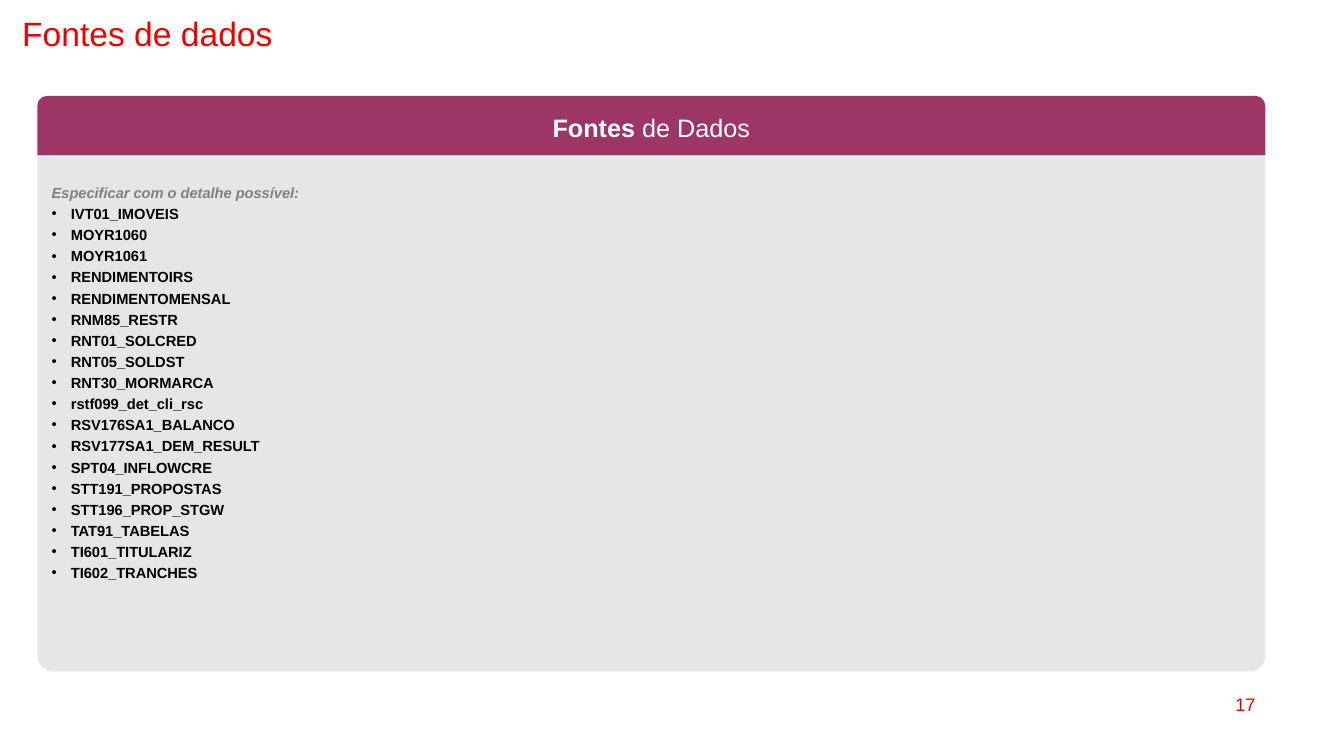
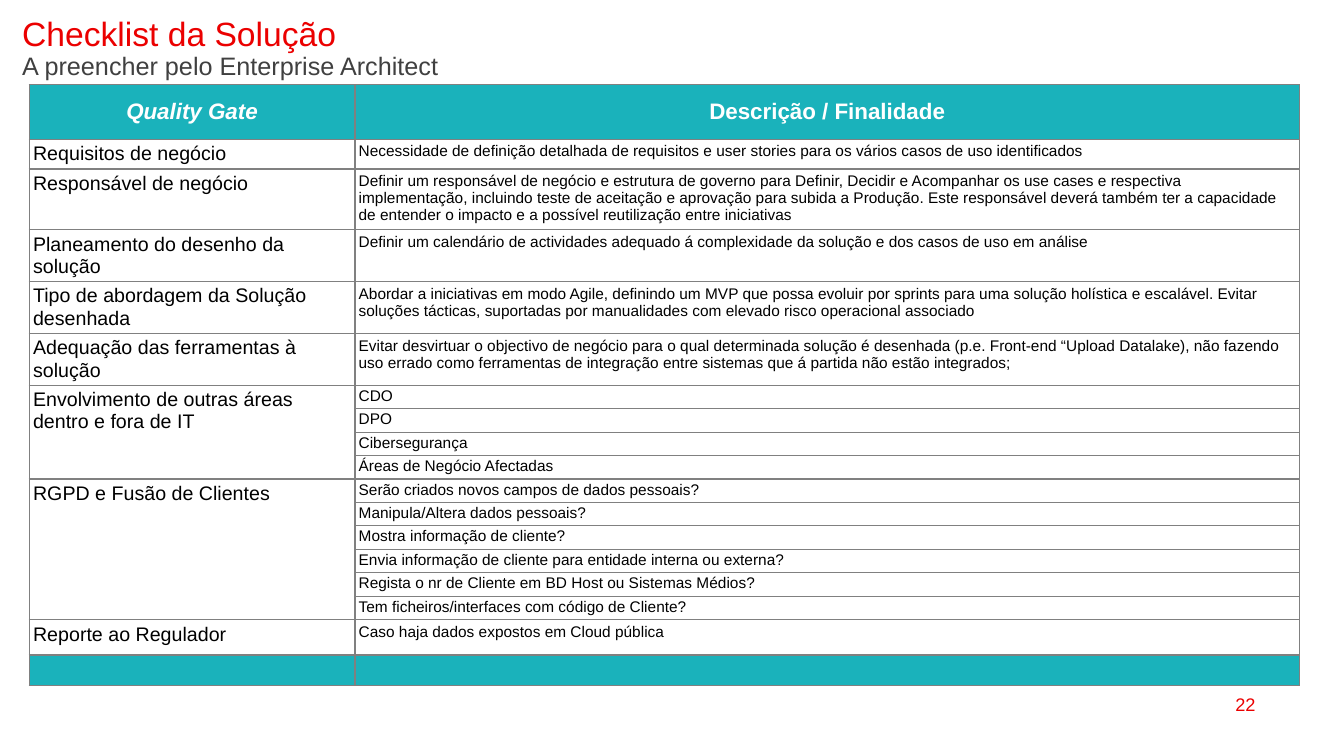
from pptx import Presentation
from pptx.dml.color import RGBColor as RGB
from pptx.enum.shapes import MSO_SHAPE as Shape
from pptx.enum.text import MSO_ANCHOR as Anchor, MSO_AUTO_SIZE as Fit, PP_ALIGN as Align
from pptx.oxml import parse_xml
from pptx.oxml.ns import nsdecls
from pptx.util import Inches, Pt

RED = RGB(0xEB, 0x00, 0x00)
PLUM = RGB(0x9D, 0x35, 0x66)
TEAL = RGB(0x1A, 0xB2, 0xBB)
PALE = RGB(0xE7, 0xE6, 0xE6)
GREY = RGB(0x80, 0x80, 0x80)
DARK = RGB(0x40, 0x40, 0x40)
WHITE = RGB(0xFF, 0xFF, 0xFF)
BLACK = RGB(0x00, 0x00, 0x00)


class Deck:
    """Style and current slide; lengths are percent of the slide's size."""

    face = "Arial"
    pad = Pt(2.7)

    def __init__(self):
        self.prs = Presentation()
        self.prs.slide_width = Inches(13.33)
        self.prs.slide_height = Inches(7.5)
        self.slide = None

    def col(self, share):
        return round(self.prs.slide_width * share / 100)

    def row(self, share):
        return round(self.prs.slide_height * share / 100)

    def box(self, x, y, w, h):
        return self.col(x), self.row(y), self.col(w), self.row(h)

    def style(self, para, size, color, bold=False, italic=False,
              align=Align.LEFT, lead=None):
        para.alignment = align
        if lead:
            para.line_spacing = lead
        font = para.font
        font.name, font.size, font.bold, font.italic = self.face, Pt(size), bold, italic
        font.color.rgb = color

    # Title, optional subtitle and page number
    def page(self, title, number, sub=None):
        self.slide = self.prs.slides.add_slide(self.prs.slide_layouts[5])
        head = self.slide.shapes.title
        head.left, head.top, head.width, head.height = self.box(0.9, 1.6, 50.71, 7.87)
        frame = head.text_frame
        frame.auto_size, frame.vertical_anchor = Fit.NONE, Anchor.TOP
        frame.text = title
        self.style(frame.paragraphs[0], 24, RED, lead=0.9)
        if sub:
            para = frame.add_paragraph()
            para.text = sub
            para.space_before = Pt(0)
            self.style(para, 18, DARK, lead=0.9)
        foot = self.slide.shapes.add_textbox(*self.box(71.64, 90.53, 22.51, 5.33))
        frame = foot.text_frame
        frame.word_wrap, frame.vertical_anchor = True, Anchor.MIDDLE
        frame.text = str(number)
        self.style(frame.paragraphs[0], 13, RED, align=Align.RIGHT)

    # Panel with two rounded corners
    def panel(self, area, fill, anchor):
        shape = self.slide.shapes.add_shape(Shape.ROUND_2_SAME_RECTANGLE, *self.box(*area))
        shape.shadow.inherit = False
        shape.fill.solid()
        shape.fill.fore_color.rgb = fill
        shape.line.fill.background()
        shape.text_frame.word_wrap = True
        shape.text_frame.vertical_anchor = anchor
        return shape

    def band(self, area, strong, rest):
        para = self.panel(area, PLUM, Anchor.MIDDLE).text_frame.paragraphs[0]
        self.style(para, 18, WHITE, align=Align.CENTER)
        for text, bold in ((strong, True), (rest, False)):
            run = para.add_run()
            run.text, run.font.bold = text, bold

    def card(self, area, lead, items):
        shape = self.panel(area, PALE, Anchor.TOP)
        shape.adjustments[0], shape.adjustments[1] = 0, 0.03
        frame = shape.text_frame
        frame.margin_top = Inches(0.23)
        frame.text = lead
        self.style(frame.paragraphs[0], 10.5, GREY, True, True, lead=1.2)
        for item in items:
            para = frame.add_paragraph()
            para.text = item
            self.bullet(para)
            self.style(para, 10.5, BLACK, True, lead=1.2)

    def bullet(self, para):
        props = para._p.get_or_add_pPr()
        props.set("marL", str(Inches(0.19)))
        props.set("indent", str(-Inches(0.19)))
        props.append(parse_xml(f'<a:buFont {nsdecls("a")} typeface="Arial"/>'))
        props.append(parse_xml(f'<a:buChar {nsdecls("a")} char="•"/>'))

    # Bordered table cell; body text has no bottom inset, so rows keep their height
    def cell(self, cell, text, size, color=BLACK, fill=None, lead=None, **kind):
        props = cell._tc.get_or_add_tcPr()
        for side in "LRTB":
            props.append(parse_xml(
                f'<a:ln{side} {nsdecls("a")} w="{Pt(1)}"><a:solidFill>'
                f'<a:srgbClr val="{GREY}"/></a:solidFill></a:ln{side}>'))
        if fill:
            cell.fill.solid()
            cell.fill.fore_color.rgb = fill
        else:
            cell.fill.background()
        pad = self.pad if text else 0
        cell.margin_left = cell.margin_right = cell.margin_top = pad
        cell.margin_bottom = pad if fill else 0
        cell.vertical_anchor = Anchor.MIDDLE if fill else Anchor.TOP
        cell.text = text
        self.style(cell.text_frame.paragraphs[0], size, color, lead=lead, **kind)

    # Checklist: each gate spans the rows of its notes
    def grid(self, x, y, cols, heads, gates):
        tall = [7.2] + [h for _, h, notes in gates for _ in notes] + [4]
        table = self.slide.shapes.add_table(
            len(tall), len(cols), *self.box(x, y, sum(cols), sum(tall))).table
        table.first_row = table.horz_banding = False
        for line, share in zip(table.columns, cols):
            line.width = self.col(share)
        for line, share in zip(table.rows, tall):
            line.height = self.row(share)
        for i, head in enumerate(heads):
            self.cell(table.cell(0, i), head, 16, WHITE, TEAL,
                      bold=True, italic=i == 0, align=Align.CENTER)
            self.cell(table.cell(len(tall) - 1, i), "", 11, WHITE, TEAL)
        top = 1
        for gate, _, notes in gates:
            many = len(notes) > 1
            for i, note in enumerate(notes):
                self.cell(table.cell(top + i, 0), "" if i else gate, 14)
                self.cell(table.cell(top + i, 1), note, 11, lead=0.9 if many else None)
            if many:
                table.cell(top, 0).merge(table.cell(top + len(notes) - 1, 0))
            top += len(notes)


SOURCES = [
    "IVT01_IMOVEIS", "MOYR1060", "MOYR1061", "RENDIMENTOIRS", "RENDIMENTOMENSAL",
    "RNM85_RESTR", "RNT01_SOLCRED", "RNT05_SOLDST", "RNT30_MORMARCA",
    "rstf099_det_cli_rsc", "RSV176SA1_BALANCO", "RSV177SA1_DEM_RESULT",
    "SPT04_INFLOWCRE", "STT191_PROPOSTAS", "STT196_PROP_STGW", "TAT91_TABELAS",
    "TI601_TITULARIZ", "TI602_TRANCHES",
]

# Gate, height of each row, notes
GATES = [
    ("Requisitos de negócio", 3.95, [
        "Necessidade de definição detalhada de requisitos e user stories para os "
        "vários casos de uso identificados"]),
    ("Responsável de negócio", 8, [
        "Definir um responsável de negócio e estrutura de governo para Definir, "
        "Decidir e Acompanhar os use cases e respectiva implementação, incluindo "
        "teste de aceitação e aprovação para subida a Produção. Este responsável "
        "deverá também ter a capacidade de entender o impacto e a possível "
        "reutilização entre iniciativas"]),
    ("Planeamento do desenho da solução", 6.88, [
        "Definir um calendário de actividades adequado á complexidade da solução e "
        "dos casos de uso em análise"]),
    ("Tipo de abordagem da Solução desenhada", 6.88, [
        "Abordar a iniciativas em modo Agile, definindo um MVP que possa evoluir por "
        "sprints para uma solução holística e escalável. Evitar soluções tácticas, "
        "suportadas por manualidades com elevado risco operacional associado"]),
    ("Adequação das ferramentas à solução", 6.88, [
        "Evitar desvirtuar o objectivo de negócio para o qual determinada solução é "
        "desenhada (p.e. Front-end “Upload Datalake), não fazendo uso errado como "
        "ferramentas de integração entre sistemas que á partida não estão integrados;"]),
    ("Envolvimento de outras áreas dentro e fora de IT", 3.1, [
        "CDO", "DPO", "Cibersegurança", "Áreas de Negócio Afectadas"]),
    ("RGPD e Fusão de Clientes", 3.1, [
        "Serão criados novos campos de dados pessoais?",
        "Manipula/Altera dados pessoais?",
        "Mostra informação de cliente?",
        "Envia informação de cliente para entidade interna ou externa?",
        "Regista o nr de Cliente em BD Host ou Sistemas Médios?",
        "Tem ficheiros/interfaces com código de Cliente?"]),
    ("Reporte ao Regulador", 4.7, ["Caso haja dados expostos em Cloud pública"]),
]


def main():
    deck = Deck()

    # Data sources
    deck.page("Fontes de dados", 17)
    deck.card((2.78, 20.8, 91.37, 68), "Especificar com o detalhe possível:", SOURCES)
    deck.band((2.78, 12.67, 91.37, 7.87), "Fontes", " de Dados")

    # Solution checklist
    deck.page("Checklist da Solução", 22, "A preencher pelo Enterprise Architect")
    deck.grid(2.18, 11.2, (24.23, 70.29),
              ("Quality Gate", "Descrição / Finalidade"), GATES)

    deck.prs.save("out.pptx")


if __name__ == "__main__":
    main()
